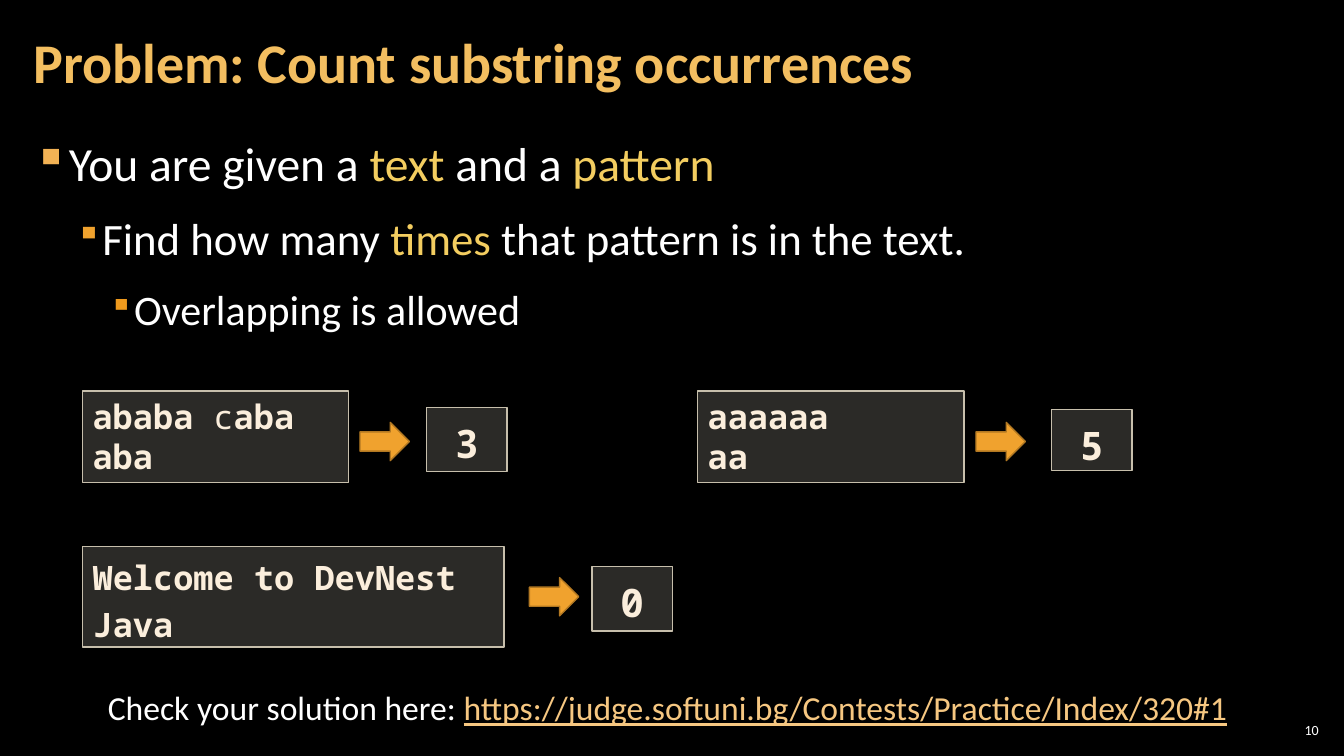
from dataclasses import dataclass

from lxml.etree import SubElement
from pptx import Presentation
from pptx.dml.color import RGBColor
from pptx.enum.shapes import MSO_SHAPE
from pptx.enum.text import MSO_ANCHOR, MSO_AUTO_SIZE, PP_ALIGN
from pptx.oxml.ns import qn
from pptx.util import Pt

PX = 9144  # EMU per px, 100 px to the inch


@dataclass(frozen=True)
class Theme:
    sans: str = "Calibri"
    mono: str = "Noto Sans Mono"
    back: str = "000000"
    white: str = "FFFFFF"
    title: str = "F3BE60"
    mark: str = "F3CD60"
    link: str = "F6C781"
    code: str = "FBEEDC"
    panel: str = "D9D5C7"
    edge: str = "C7BFAC"
    arrow: str = "F0A22E"
    rim: str = "B27822"
    bullets: tuple = ("F2B254", "F0A22E", "EF9A1D")
    levels: tuple = (34, 32, 30)
    head: int = 40
    result: int = 28
    text: int = 24
    page: int = 10


def color(code):
    return RGBColor.from_string(code)


class Deck:
    def __init__(self, theme):
        self.theme = theme
        self.prs = Presentation()
        self.prs.slide_width, self.prs.slide_height = 1333 * PX, 750 * PX
        self.slide = self.prs.slides.add_slide(self.prs.slide_layouts[5])
        fill = self.slide.background.fill
        fill.solid()
        fill.fore_color.rgb = color(theme.back)

    def frame(self, shape, inset=(10, 5), anchor=MSO_ANCHOR.TOP):
        box = shape.text_frame
        box.word_wrap, box.auto_size = True, MSO_AUTO_SIZE.NONE
        box.vertical_anchor = anchor
        box.margin_left = box.margin_right = inset[0] * PX
        box.margin_top = box.margin_bottom = inset[1] * PX
        return box

    def font(self, para, size, tint, face=None, bold=False):
        font = para.font
        font.name, font.size, font.bold = face or self.theme.sans, Pt(size), bold
        font.color.rgb = color(tint)

    def label(self, x, y, w, h, inset=(10, 5), anchor=MSO_ANCHOR.TOP):
        area = [n * PX for n in (x, y, w, h)]
        return self.frame(self.slide.shapes.add_textbox(*area), inset, anchor)

    def title(self, text, x, y, w, h):
        shape = self.slide.shapes.title
        shape.left, shape.top, shape.width, shape.height = [n * PX for n in (x, y, w, h)]
        para = self.frame(shape, (12, 4), MSO_ANCHOR.MIDDLE).paragraphs[0]
        para.alignment, para.line_spacing = PP_ALIGN.LEFT, 0.9
        self.font(para, self.theme.head, self.theme.title, bold=True)
        para.add_run().text = text

    def bullet(self, para, level, left, hang):
        """Indent the paragraph and give it a square bullet."""
        props = para._p.get_or_add_pPr()
        props.set("marL", str(left * PX))
        props.set("indent", str(-hang * PX))
        tint = SubElement(props, qn("a:buClr"))
        SubElement(tint, qn("a:srgbClr"), val=self.theme.bullets[level])
        if level:
            SubElement(props, qn("a:buSzPct"), val="80000")
        SubElement(props, qn("a:buChar"), char="▪")

    def outline(self, rows, x, y, w, h):
        """Write one bulleted row per level; odd runs are highlighted."""
        box = self.label(x, y, w, h, (12, 4))
        for level, (runs, left, hang) in enumerate(rows):
            para = box.add_paragraph() if level else box.paragraphs[0]
            para.level, para.line_spacing, para.space_after = level, 1.05, Pt(6)
            if level:
                para.space_before = Pt(6)
            self.bullet(para, level, left, hang)
            self.font(para, self.theme.levels[level], self.theme.white)
            for spot, text in enumerate(runs):
                run = para.add_run()
                run.text = text
                if spot % 2:
                    run.font.color.rgb = color(self.theme.mark)

    def shape(self, kind, area, fill, line):
        shape = self.slide.shapes.add_shape(kind, *[n * PX for n in area])
        shape.shadow.inherit = False
        shape.fill.solid()
        shape.fill.fore_color.rgb = color(fill)
        shape.line.color.rgb, shape.line.width = color(line), Pt(1)
        return shape

    def panel(self, lines, area, size, align=PP_ALIGN.LEFT, space=None):
        """Draw a glassy code box; each line is a list of runs, odd ones not bold."""
        theme = self.theme
        shape = self.shape(MSO_SHAPE.RECTANGLE, area, theme.panel, theme.edge)
        tint = shape._element.spPr.find(qn("a:solidFill"))[0]
        SubElement(tint, qn("a:alpha"), val="20000")
        box = self.frame(shape)
        for row, runs in enumerate(lines):
            para = box.add_paragraph() if row else box.paragraphs[0]
            para.alignment, para.line_spacing = align, space
            self.font(para, size, theme.code, theme.mono, True)
            for spot, text in enumerate(runs):
                run = para.add_run()
                run.text = text
                if spot % 2:
                    run.font.bold = False

    def arrow(self, x, y):
        self.shape(MSO_SHAPE.RIGHT_ARROW, (x, y, 49, 38), self.theme.arrow, self.theme.rim)

    def sample(self, lines, area, space, tip, answer, spot):
        """Draw input box, arrow and result box."""
        self.panel(lines, area, self.theme.text, space=space)
        self.arrow(*tip)
        self.panel([[answer]], spot, self.theme.result, PP_ALIGN.CENTER, 1.15)

    def check(self, text, link, *area):
        para = self.label(*area).paragraphs[0]
        para.alignment = PP_ALIGN.CENTER
        self.font(para, self.theme.text, self.theme.white)
        para.add_run().text = text
        run = para.add_run()
        run.text, run.font.underline = link, True
        run.font.color.rgb = color(self.theme.link)

    def page(self, text, *area):
        para = self.label(*area, (4, 4), MSO_ANCHOR.MIDDLE).paragraphs[0]
        para.alignment = PP_ALIGN.RIGHT
        self.font(para, self.theme.page, self.theme.white)
        para.add_run().text = text


def main():
    deck = Deck(Theme())
    deck.page("10", 1265, 714, 47, 21)
    deck.title("Problem: Count substring occurrences", 21, 4, 1047, 121)
    deck.outline([
        (["You are given a ", "text ", "and a ", "pattern"], 33, 33),
        (["Find how many ", "times", " that pattern is in the text."], 67, 25),
        (["Overlapping is allowed"], 100, 25),
    ], 21, 126, 1291, 609)
    samples = [
        ([["ababa ", "c", "aba"], ["aba"]], (82, 388, 264, 91), None,
         (357, 419), "3", (423, 404, 80, 64)),
        ([["Welcome to DevNest"], ["Java"]], (82, 542, 418, 100), 1.15,
         (525, 573), "0", (587, 562, 80, 64)),
        ([["aaaaaa"], ["aa"]], (692, 388, 264, 91), None,
         (968, 419), "5", (1043, 406, 80, 61)),
    ]
    for sample in samples:
        deck.sample(*sample)
    deck.check("Check your solution here: ",
               "https://judge.softuni.bg/Contests/Practice/Index/320#1",
               83, 677, 1158, 50)
    deck.prs.save("out.pptx")


if __name__ == "__main__":
    main()
